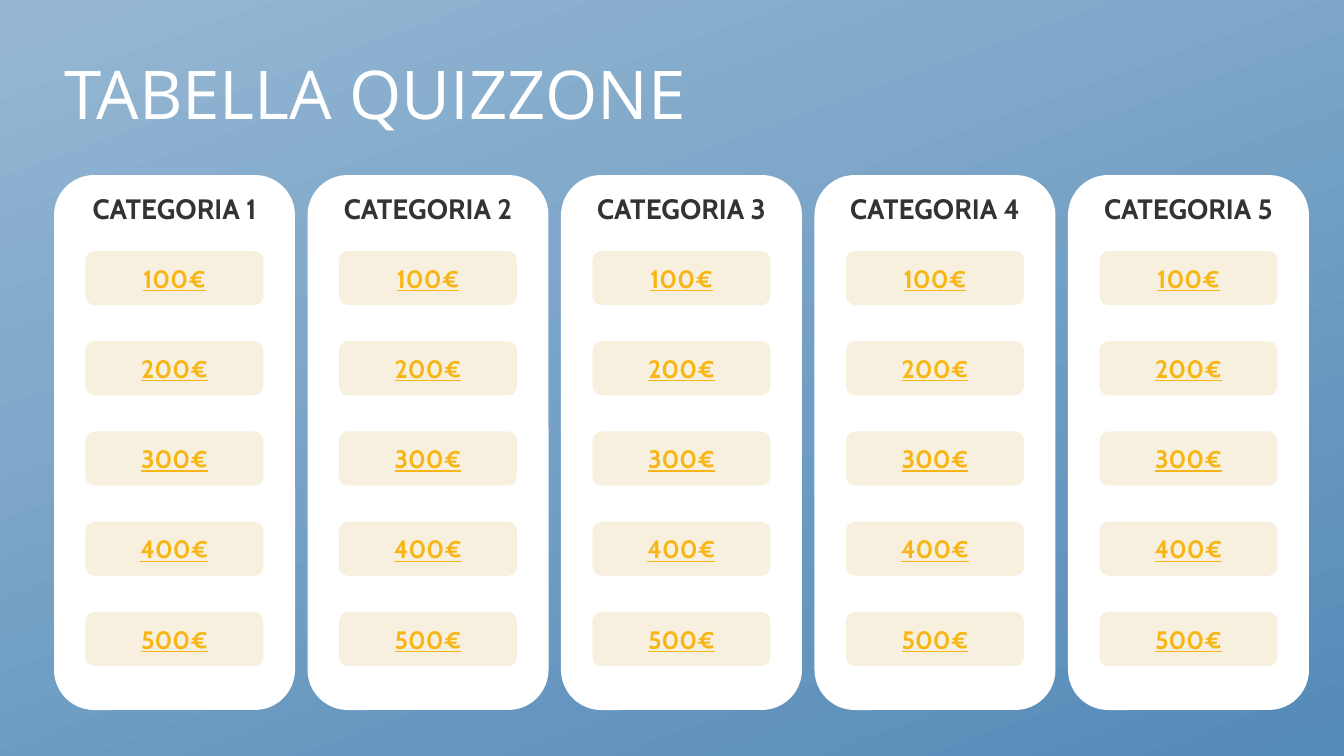
"""Build the quiz board slide."""
from pptx import Presentation
from pptx import util as u
from pptx.dml.color import RGBColor
from pptx.enum import shapes, text

TITLE = "TABELLA QUIZZONE"
CATEGORIES = [f"CATEGORIA {number}" for number in range(1, 6)]
PRIZES = ["100€", "200€", "300€", "400€", "500€"]

WHITE = RGBColor(0xFF, 0xFF, 0xFF)
CHARCOAL = RGBColor(0x33, 0x33, 0x33)
CREAM = RGBColor(0xF7, 0xF0, 0xDE)
AMBER = RGBColor(0xF7, 0xB6, 0x15)
SKY = RGBColor(0x94, 0xB6, 0xD2)
STEEL = RGBColor(0x55, 0x8B, 0xB8)

SCALE = u.Inches(1) / 100.8
SLIDE_W, SLIDE_H = 1344, 756
TITLE_BOX = (54, 25, 1159, 146)
BOARD_LEFT, BOARD_RIGHT = 54, 1309
CARD_TOP, CARD_W, CARD_H = 175, 241, 535
PRIZE_TOP, PRIZE_BOTTOM = 251, 666
PRIZE_W, PRIZE_H = 178, 54


def px(length):
    """Turn pixels into EMU."""
    return u.Emu(round(length * SCALE))


def write(shape, words, *, size, color, font="Cabin", bold=False, underline=False,
          align=text.PP_ALIGN.CENTER, anchor=text.MSO_ANCHOR.MIDDLE, spacing=None):
    """Put formatted words into a shape."""
    frame = shape.text_frame
    frame.word_wrap = True
    frame.auto_size = text.MSO_AUTO_SIZE.NONE
    frame.vertical_anchor = anchor
    paragraph = frame.paragraphs[0]
    paragraph.alignment = align
    paragraph.line_spacing = spacing
    run = paragraph.add_run()
    run.text = words
    run.font.name = font
    run.font.size = u.Pt(size)
    run.font.bold = bold
    run.font.underline = underline
    run.font.color.rgb = color


def add_panel(slide, box, fill):
    """Add a plain rounded panel."""
    panel = slide.shapes.add_shape(
        shapes.MSO_SHAPE.FLOWCHART_ALTERNATE_PROCESS, *map(px, box))
    panel.shadow.inherit = False
    panel.fill.solid()
    panel.fill.fore_color.rgb = fill
    panel.line.fill.background()
    return panel


def paint_background(slide):
    """Fill the slide with the blue gradient."""
    fill = slide.background.fill
    fill.gradient()
    fill.gradient_angle = 290
    for stop, color, position in zip(fill.gradient_stops, (SKY, STEEL), (0.02, 1)):
        stop.color.rgb = color
        stop.position = position


def main():
    """Lay out the title, category cards and prizes."""
    deck = Presentation()
    deck.slide_width, deck.slide_height = px(SLIDE_W), px(SLIDE_H)
    slide = deck.slides.add_slide(deck.slide_layouts[5])
    paint_background(slide)

    title = slide.shapes.title
    title.left, title.top, title.width, title.height = map(px, TITLE_BOX)
    write(title, TITLE, size=48, color=WHITE, font="Open Sans",
          align=text.PP_ALIGN.LEFT, spacing=0.9)

    column_step = (BOARD_RIGHT - BOARD_LEFT - CARD_W) / (len(CATEGORIES) - 1)
    row_step = (PRIZE_BOTTOM - PRIZE_TOP - PRIZE_H) / (len(PRIZES) - 1)
    for column, category in enumerate(CATEGORIES):
        left = BOARD_LEFT + column * column_step
        card = add_panel(slide, (left, CARD_TOP, CARD_W, CARD_H), WHITE)
        write(card, category, size=20, color=CHARCOAL, bold=True,
              anchor=text.MSO_ANCHOR.TOP)
        prize_left = left + (CARD_W - PRIZE_W) / 2
        for row, prize in enumerate(PRIZES):
            top = PRIZE_TOP + row * row_step
            button = add_panel(slide, (prize_left, top, PRIZE_W, PRIZE_H), CREAM)
            write(button, prize, size=18, color=AMBER, bold=True, underline=True)

    deck.save("out.pptx")


if __name__ == "__main__":
    main()
